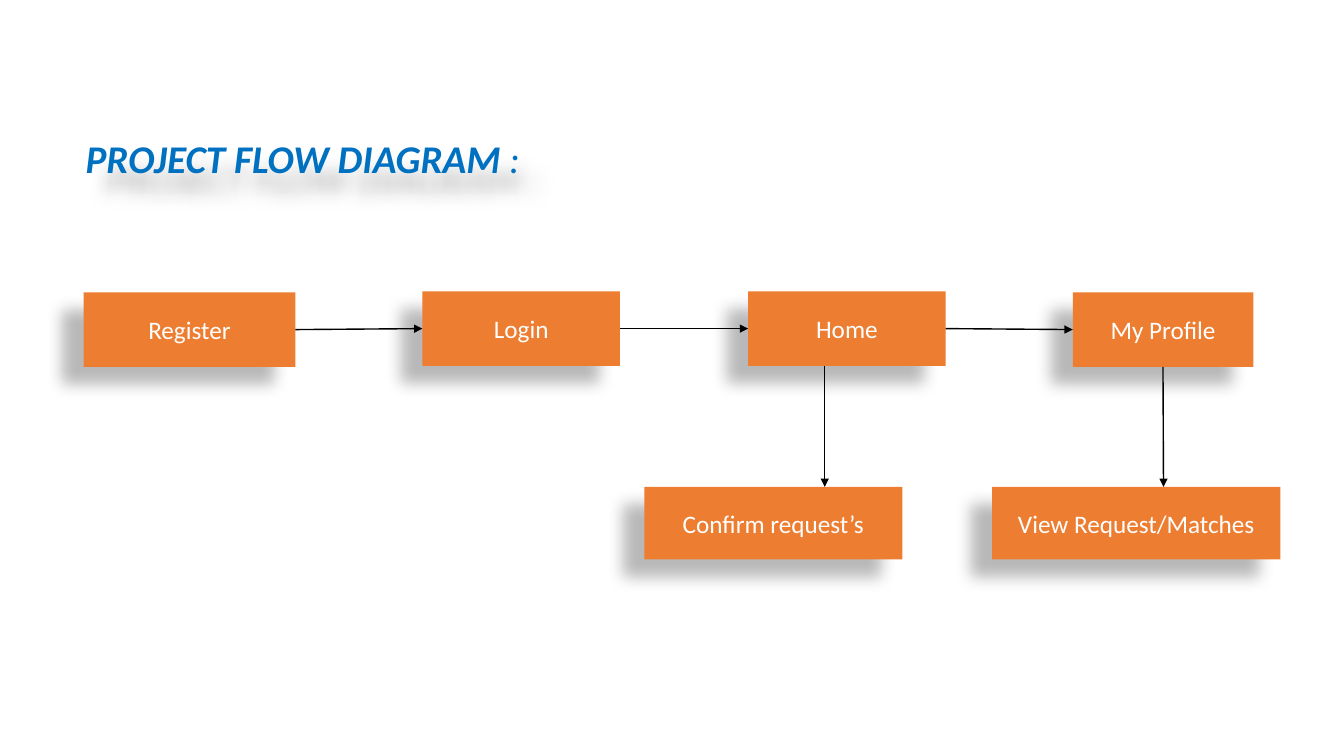
from dataclasses import dataclass

from lxml import etree
from pptx import Presentation, util as u
from pptx.dml.color import RGBColor
from pptx.enum import shapes, text
from pptx.oxml import ns


@dataclass(frozen=True)
class Theme:
    font: str = "Calibri"
    title_color: RGBColor = RGBColor(0x00, 0x70, 0xC0)
    box_fill: RGBColor = RGBColor(0xED, 0x7D, 0x31)
    box_text: RGBColor = RGBColor(0xFF, 0xFF, 0xFF)
    line: RGBColor = RGBColor(0x00, 0x00, 0x00)
    shadow: str = "000000"
    title_size: u.Pt = u.Pt(28)
    label_size: u.Pt = u.Pt(18)


theme = Theme()


def add_shadow(shape, angle, opacity):
    shape.shadow.inherit = False
    effects = shape._element.spPr.find(ns.qn("a:effectLst"))
    shadow = etree.SubElement(
        effects, ns.qn("a:outerShdw"), blurRad=str(u.Pt(11.8)), dist=str(u.Pt(19.7)),
        dir=str(angle * 60000), algn="ctr", rotWithShape="0")
    color = etree.SubElement(shadow, ns.qn("a:srgbClr"), val=theme.shadow)
    etree.SubElement(color, ns.qn("a:alpha"), val=str(opacity * 1000))


deck = Presentation()
deck.slide_width, deck.slide_height = u.Inches(13.33), u.Inches(7.5)
page = deck.slides.add_slide(deck.slide_layouts[5])

title = page.shapes.title
title.left, title.top = u.Inches(0.75), u.Inches(0.86)
title.width, title.height = u.Inches(10.8), u.Inches(1.48)
title.text_frame.vertical_anchor = text.MSO_ANCHOR.MIDDLE
para = title.text_frame.paragraphs[0]
para.alignment = text.PP_ALIGN.LEFT
para.line_spacing = 0.9
para.font.name = theme.font
para.font.size = theme.title_size
para.font.italic = True
para.font.color.rgb = theme.title_color
for words, bold in [("PROJECT FLOW DIAGRAM ", True), (":", False)]:
    span = para.add_run()
    span.text = words
    span.font.bold = bold
add_shadow(title, 45, 28)

steps = [
    ("Register", 0.83, 2.9, 2.1, 0.74),
    ("Login", 4.19, 2.89, 1.96, 0.74),
    ("Home", 7.42, 2.89, 1.96, 0.74),
    ("My Profile", 10.64, 2.9, 1.79, 0.74),
    ("View Request/Matches", 9.84, 4.83, 2.86, 0.72),
    ("Confirm request’s", 6.39, 4.83, 2.56, 0.72),
]
boxes = {}
for label, left, top, width, height in steps:
    box = page.shapes.add_shape(
        shapes.MSO_SHAPE.RECTANGLE,
        u.Inches(left), u.Inches(top), u.Inches(width), u.Inches(height))
    box.fill.solid()
    box.fill.fore_color.rgb = theme.box_fill
    box.line.fill.background()
    add_shadow(box, 141, 28)
    box.text_frame.vertical_anchor = text.MSO_ANCHOR.MIDDLE
    para = box.text_frame.paragraphs[0]
    para.text = label
    para.alignment = text.PP_ALIGN.CENTER
    para.font.name = theme.font
    para.font.size = theme.label_size
    para.font.color.rgb = theme.box_text
    boxes[label] = box

arrows = [
    (2.93, 3.26, 4.19, 3.26, "Register", 3, "Login"),
    (6.15, 3.26, 7.42, 3.26, "Login", 3, "Home"),
    (9.38, 3.26, 10.64, 3.26, "Home", 3, "My Profile"),
    (8.18, 3.63, 8.18, 4.83, None, None, None),
    (11.54, 3.64, 11.54, 4.83, "My Profile", 2, None),
]
for x1, y1, x2, y2, source, side, target in arrows:
    arrow = page.shapes.add_connector(
        shapes.MSO_CONNECTOR.STRAIGHT,
        u.Inches(x1), u.Inches(y1), u.Inches(x2), u.Inches(y2))
    if source:
        arrow.begin_connect(boxes[source], side)
    if target:
        arrow.end_connect(boxes[target], 1)
    arrow.line.color.rgb = theme.line
    arrow.line.width = u.Pt(1)
    etree.SubElement(arrow.line._get_or_add_ln(), ns.qn("a:tailEnd"), type="triangle")
    etree.SubElement(arrow._element.spPr, ns.qn("a:effectLst"))

deck.save("out.pptx")
